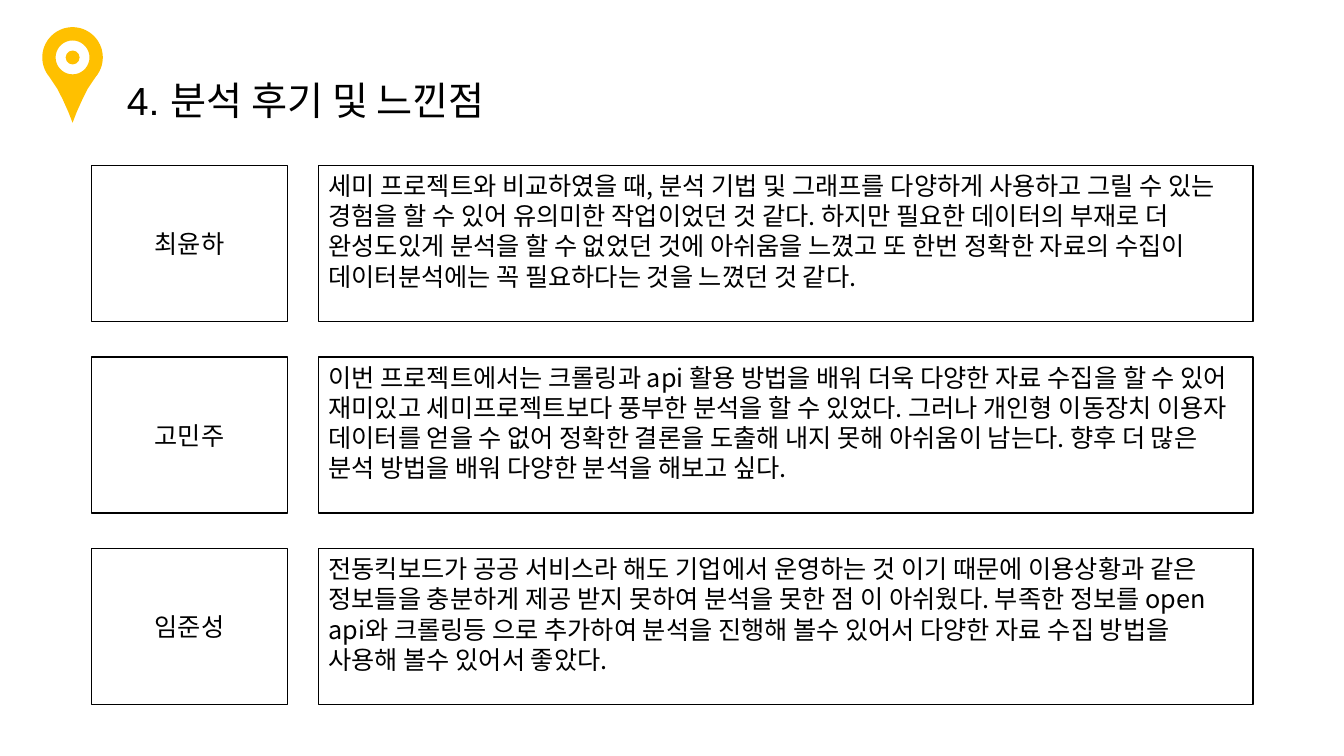
from math import cos, radians, sin

from lxml.etree import SubElement
from pptx import Presentation
from pptx.dml.color import RGBColor
from pptx.enum.shapes import MSO_SHAPE as Shape
from pptx.enum.text import MSO_ANCHOR as Anchor, PP_ALIGN as Align
from pptx.oxml.ns import qn
from pptx.util import Inches, Pt

COLORS = {"ink": "000000", "pin": "FFC000"}
KOREAN_FONT = "Noto Sans CJK KR"
REVIEWS = [
    ("최윤하", "세미 프로젝트와 비교하였을 때, 분석 기법 및 그래프를 다양하게 사용하고 그릴 수 있는 "
     "경험을 할 수 있어 유의미한 작업이었던 것 같다. 하지만 필요한 데이터의 부재로 더 "
     "완성도있게 분석을 할 수 없었던 것에 아쉬움을 느꼈고 또 한번 정확한 자료의 수집이 "
     "데이터분석에는 꼭 필요하다는 것을 느꼈던 것 같다."),
    ("고민주", "이번 프로젝트에서는 크롤링과 api 활용 방법을 배워 더욱 다양한 자료 수집을 할 수 "
     "있어 재미있고 세미프로젝트보다 풍부한 분석을 할 수 있었다. 그러나 개인형 이동장치 "
     "이용자 데이터를 얻을 수 없어 정확한 결론을 도출해 내지 못해 아쉬움이 남는다. 향후 "
     "더 많은 분석 방법을 배워 다양한 분석을 해보고 싶다."),
    ("임준성", "전동킥보드가 공공 서비스라 해도 기업에서 운영하는 것 이기 때문에 이용상황과 같은 "
     "정보들을 충분하게 제공 받지 못하여 분석을 못한 점 이 아쉬웠다. 부족한 정보를 open "
     "api와 크롤링등 으로 추가하여 분석을 진행해 볼수 있어서 다양한 자료 수집 방법을 "
     "사용해 볼수 있어서 좋았다."),
]


def color(name):
    return RGBColor.from_string(COLORS[name])


def write(shape, text, size, font_name, align, anchor):
    frame = shape.text_frame
    frame.word_wrap = True
    frame.vertical_anchor = anchor
    frame.text = text
    para = frame.paragraphs[0]
    para.alignment = align
    span = para.runs[0]
    span.font.size = Pt(size)
    span.font.name = font_name
    span.font.color.rgb = color("ink")
    SubElement(span.font._element, qn("a:ea")).set("typeface", KOREAN_FONT)
    return para


def add_title(page, left, top, width, height):
    box = page.shapes.add_textbox(*map(Inches, (left, top, width, height)))
    write(box, "4. 분석 후기 및 느낀점", 28, "Arial", Align.LEFT, Anchor.BOTTOM)


def add_framed_text(page, left, top, width, height, text, align, anchor):
    box = page.shapes.add_shape(Shape.RECTANGLE, *map(Inches, (left, top, width, height)))
    box.shadow.inherit = False
    box.fill.background()
    box.line.color.rgb = color("ink")
    box.line.width = Pt(1)
    para = write(box, text, 18, KOREAN_FONT, align, anchor)
    para.line_spacing = Pt(21.6)


def add_reviews(page, left, top, width, height):
    """Stack one row per reviewer: a name box and a comment box."""
    name_width, column_gap, row_gap = 1.94, 0.31, 0.35
    row_height = (height - row_gap * (len(REVIEWS) - 1)) / len(REVIEWS)
    comment_left = left + name_width + column_gap
    comment_width = left + width - comment_left
    for index, (name, comment) in enumerate(REVIEWS):
        row_top = top + index * (row_height + row_gap)
        add_framed_text(page, left, row_top, name_width, row_height,
                        name, Align.CENTER, Anchor.MIDDLE)
        add_framed_text(page, comment_left, row_top, comment_width, row_height,
                        comment, Align.LEFT, Anchor.TOP)


def arc(radius, start, end, step):
    """Points of an arc round the pin's head, in shares of the pin's width."""
    return [(0.5 + radius * cos(radians(angle)), 0.5 + radius * sin(radians(angle)))
            for angle in range(start, end + step, step)]


def paint(shape):
    shape.shadow.inherit = False
    shape.fill.solid()
    shape.fill.fore_color.rgb = color("pin")
    shape.line.fill.background()


def add_pin(page, left, top, width):
    """Draw a map pin: a drop with a round hole and a dot in it."""
    flank = [(0.25, 1.02), (0.34, 1.2), (0.43, 1.4)]
    mirrored = [(1 - x, y) for x, y in flank]
    outline = arc(0.5, 140, 400, 5) + mirrored + [(0.5, 1.58)] + flank[::-1]
    hole = arc(0.28, 0, 360, 10)[::-1]

    def place(points):
        return [(Inches(left + x * width), Inches(top + y * width)) for x, y in points]

    outline, hole = place(outline), place(hole)
    builder = page.shapes.build_freeform(*outline[0])
    builder.add_line_segments(outline[1:], close=True)
    builder.move_to(*hole[0])
    builder.add_line_segments(hole[1:], close=True)
    paint(builder.convert_to_shape())

    dot = 0.23 * width
    inset = (width - dot) / 2
    paint(page.shapes.add_shape(Shape.OVAL, Inches(left + inset), Inches(top + inset),
                                Inches(dot), Inches(dot)))


def main():
    deck = Presentation()
    deck.slide_width, deck.slide_height = Inches(13.33), Inches(7.5)
    page = deck.slides.add_slide(deck.slide_layouts[6])
    add_reviews(page, 0.91, 1.64, 11.52, 5.35)
    add_title(page, 1.16, 0.23, 5.09, 1.04)
    add_pin(page, 0.42, 0.27, 0.6)
    deck.save("out.pptx")


if __name__ == "__main__":
    main()
